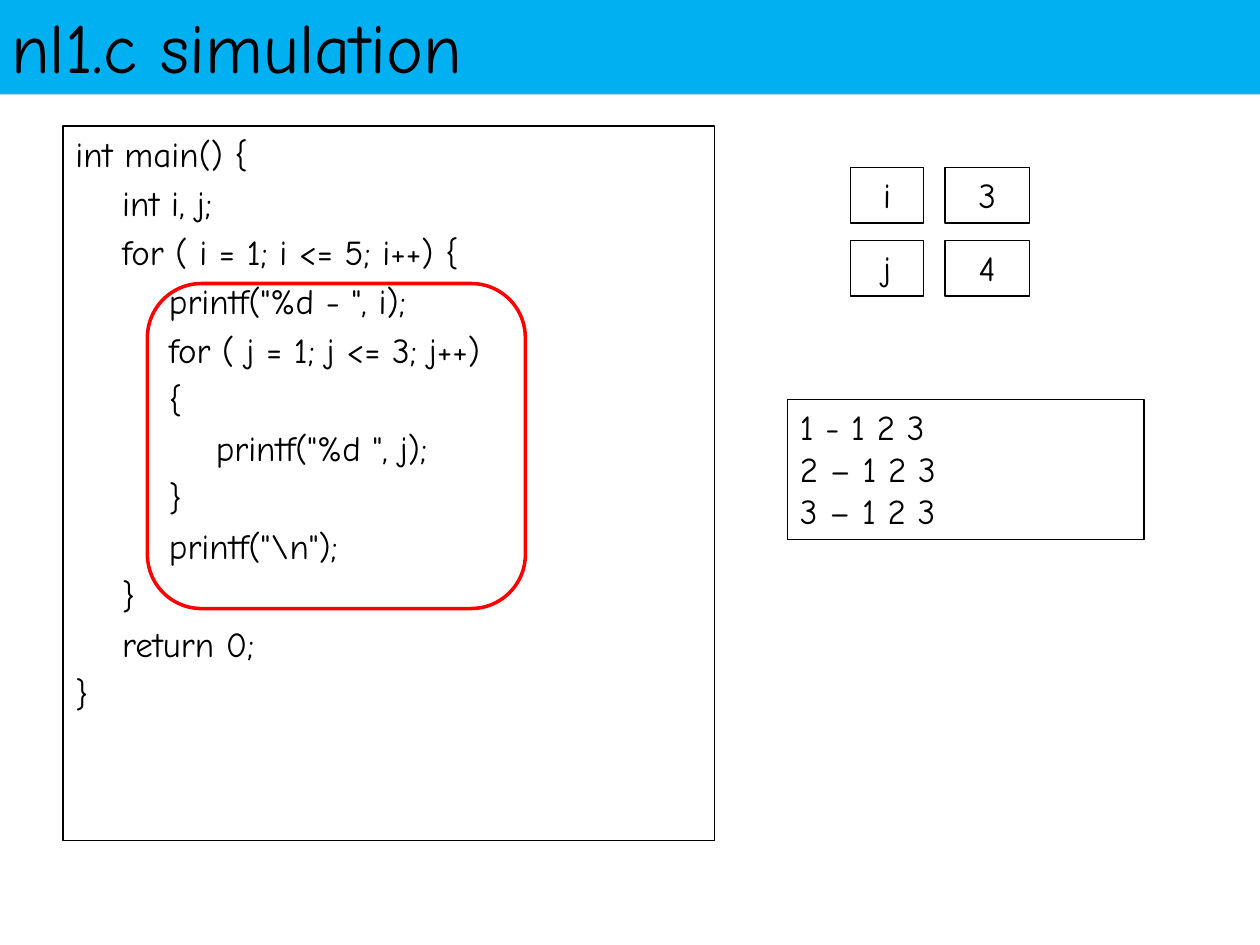
from pptx import Presentation
from pptx import util as u
from pptx.dml.color import RGBColor
from pptx.enum import shapes, text

COLOURS = {"banner": "00B0F0", "ink": "000000", "highlight": "FF0000"}
FONT = "Comic Neue"
TITLE_ONLY = 5

CODE = r'''int main() {
    int i, j;
    for ( i = 1; i <= 5; i++) {
        printf("%d - ", i);
        for ( j = 1; j <= 3; j++)
        {
            printf("%d ", j);
        }
        printf("\n");
    }
    return 0;
}'''.split("\n")
OUTPUT = ["1 - 1 2 3", "2 – 1 2 3", "3 – 1 2 3"]
VARIABLES = {"i": "3", "j": "4"}


def colour(name):
    return RGBColor.from_string(COLOURS[name])


class SlideBuilder:
    """Holds the style and the current slide."""

    def __init__(self, page):
        self.page = page

    def add_lines(self, frame, lines, size=20, gap=0, align=text.PP_ALIGN.LEFT):
        for number, line in enumerate(lines):
            para = frame.paragraphs[0] if number == 0 else frame.add_paragraph()
            para.alignment = align
            para.space_before = u.Pt(gap if number else 0)
            span = para.add_run()
            span.text = line
            formats = {"name": FONT, "size": u.Pt(size), "bold": False}
            for key, value in formats.items():
                setattr(span.font, key, value)
            span.font.color.rgb = colour("ink")

    def title(self, words, left, top, width, height):
        banner = self.page.shapes.title
        places = {"left": left, "top": top, "width": width, "height": height}
        for key, value in places.items():
            setattr(banner, key, u.Inches(value))
        banner.fill.solid()
        banner.fill.fore_color.rgb = colour("banner")
        banner.text_frame.vertical_anchor = text.MSO_ANCHOR.MIDDLE
        banner.text_frame.auto_size = text.MSO_AUTO_SIZE.NONE
        self.add_lines(banner.text_frame, [words], size=40)

    def outline(self, shape, line_colour, width):
        shape.line.color.rgb = colour(line_colour)
        shape.line.width = u.Pt(width)

    def text_box(self, lines, left, top, width, height, **style):
        box = self.page.shapes.add_textbox(
            *map(u.Inches, (left, top, width, height)))
        box.text_frame.word_wrap = True
        self.outline(box, "ink", 0.75)
        self.add_lines(box.text_frame, lines, **style)

    def highlight(self, left, top, width, height):
        frame = self.page.shapes.add_shape(
            shapes.MSO_SHAPE.ROUNDED_RECTANGLE,
            *map(u.Inches, (left, top, width, height)))
        frame.shadow.inherit = False
        frame.fill.background()
        self.outline(frame, "highlight", 2)


def main():
    deck = Presentation()
    deck.slide_width, deck.slide_height = u.Inches(10), u.Inches(7.5)
    page = deck.slides.add_slide(deck.slide_layouts[TITLE_ONLY])
    builder = SlideBuilder(page)

    # Title banner
    builder.title("nl1.c simulation", -0.01, -0.03, 10.01, 0.78)

    # Program listing with the outer loop body marked
    builder.text_box(CODE, 0.5, 1, 5.17, 5.67, gap=4)
    builder.highlight(1.17, 2.25, 3, 2.58)

    # Variable names and their values
    for row, pair in enumerate(VARIABLES.items()):
        for word, left, width in zip(pair, (6.75, 7.5), (0.58, 0.67)):
            builder.text_box([word], left, 1.33 + 0.58 * row, width, 0.44,
                             align=text.PP_ALIGN.CENTER)

    # Program output
    builder.text_box(OUTPUT, 6.25, 3.17, 2.83, 1.11)

    deck.save("out.pptx")


if __name__ == "__main__":
    main()
